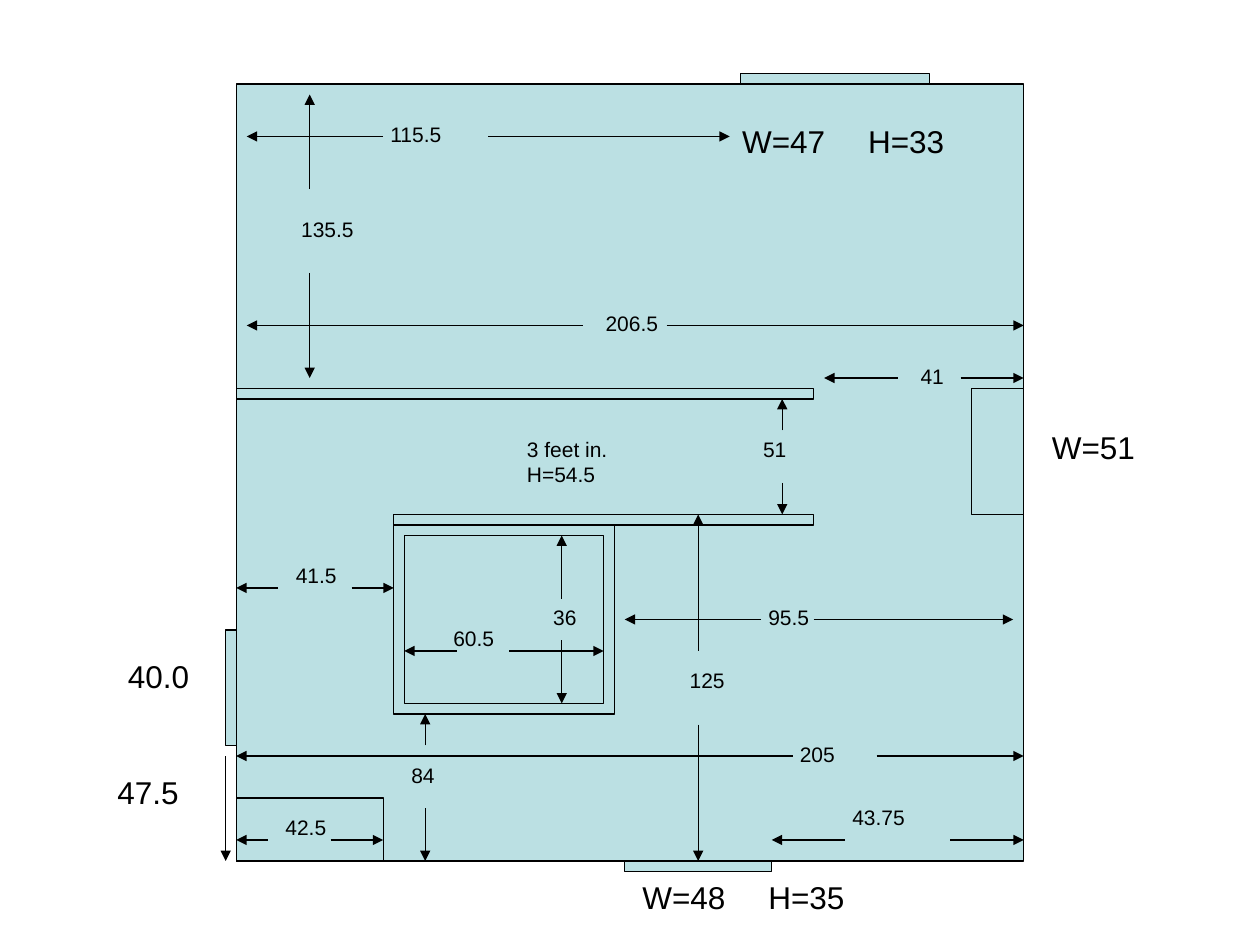
from collections import namedtuple

from lxml.etree import SubElement
from pptx import Presentation
from pptx.dml.color import RGBColor
from pptx.enum.shapes import MSO_CONNECTOR, MSO_SHAPE
from pptx.enum.text import MSO_AUTO_SIZE
from pptx.oxml.ns import qn
from pptx.util import Pt

Box = namedtuple("Box", "left top width height")
WALL = 6
SMALL, LARGE = 12, 18


def paint(color, value):
    color.rgb = RGBColor.from_string(value)


def add_block(page, box, left, top, width, height):
    block = page.shapes.add_shape(
        MSO_SHAPE.RECTANGLE, Pt(box.left + left), Pt(box.top + top), Pt(width), Pt(height)
    )
    block.shadow.inherit = False
    block.fill.solid()
    paint(block.fill.fore_color, "BBE0E3")
    paint(block.line.color, "000000")
    block.line.width = Pt(0.75)
    return block


def add_label(page, box, text, left, top, width, size=SMALL, height=None):
    height = height or (21.6 if size == SMALL else 28.8)
    label = page.shapes.add_textbox(
        Pt(box.left + left), Pt(box.top + top), Pt(width), Pt(height)
    )
    frame = label.text_frame
    frame.word_wrap = True
    frame.auto_size = MSO_AUTO_SIZE.SHAPE_TO_FIT_TEXT
    para = frame.paragraphs[0]
    para.text = text
    para.space_before = Pt(size * 0.625)
    para.font.name = "Arial"
    para.font.size = Pt(size)
    paint(para.font.color, "000000")


def add_arrow(page, box, start, end):
    arrow = page.shapes.add_connector(
        MSO_CONNECTOR.STRAIGHT,
        Pt(box.left + start[0]), Pt(box.top + start[1]),
        Pt(box.left + end[0]), Pt(box.top + end[1]),
    )
    paint(arrow.line.color, "000000")
    arrow.line.width = Pt(0.75)
    SubElement(arrow.line._get_or_add_ln(), qn("a:tailEnd"), type="triangle")
    SubElement(arrow._element.spPr, qn("a:effectLst"))
    return arrow


def add_span_across(page, box, y, tips, gap, label):
    for start, end in zip(gap, tips):
        add_arrow(page, box, (start, y), (end, y))
    add_label(page, box, *label)


def add_span_down(page, box, x, tips, gap, label):
    arrows = [add_arrow(page, box, (x, start), (x, end)) for start, end in zip(gap, tips)]
    add_label(page, box, *label)
    return arrows


def add_upper_room(page, box):
    add_block(page, box, 288, -WALL, 108, WALL)
    add_span_down(page, box, 42, (6, 168), (60, 108), ("135.5", 30, 72, 57))
    for y, tips, gap, label in [
        (30, (6, 282), (84, 144), ("115.5", 81, 18, 51)),
        (138, (6, box.width), (198, 246), ("206.5", 204, 126, 45)),
        (168, (336, box.width), (378, 414), ("41", 384, 156, 30)),
    ]:
        add_span_across(page, box, y, tips, gap, label)
    add_label(page, box, "W=47\tH=33", 282, 18, 132, LARGE)


def add_hall(page, box):
    add_block(page, box, 0, 0, 330, WALL)
    add_block(page, box, box.width - 30, 0, 30, box.height)
    add_span_down(page, box, 312, (WALL, box.height), (24, 54), ("51", 294, 24, 30))
    add_label(page, box, "3 feet in. H=54.5", 159, 24, 87, height=36)
    add_label(page, box, "W=51", box.width + 9, 19, 66, LARGE)


def add_lower_room(page, box):
    add_block(page, box, 90, 0, 240, WALL)
    add_block(page, box, 0, box.height - 36, 84, 36)
    add_block(page, box, -WALL, 66, WALL, 66)
    window = add_block(page, box, 222, box.height, 84, WALL)
    for y, tips, gap, label in [
        (42, (0, 90), (24, 66), ("41.5", 27, 24, 39)),
        (60, (222, 444), (300, 330), ("95.5", 297, 48, 39)),
        (138, (0, box.width), (318, 366), ("205", 315, 126, 45)),
        (186, (0, 84), (18, 54), ("42.5", 21, 168, 57)),
        (186, (306, box.width), (348, 408), ("43.75", 345, 162, 45)),
    ]:
        add_span_across(page, box, y, tips, gap, label)
    add_span_down(page, box, 108, (114, box.height), (132, 168), ("84", 93, 138, 30))
    depth_arrows = add_span_down(
        page, box, 264, (0, box.height), (78, 120), ("125", 252, 84, 39)
    )
    depth_arrows[1].end_connect(window, 0)
    add_arrow(page, box, (-WALL, 138), (-WALL, box.height))
    add_label(page, box, "40.0", -69, 78, 51, LARGE)
    add_label(page, box, "47.5", -75, 144, 57, LARGE)
    add_label(page, box, "W=48\tH=35", 225, box.height + 6, 132, LARGE)


def add_closet(page, box):
    add_block(page, box, 0, 0, box.width, box.height)
    add_block(page, box, WALL, WALL, box.width - 2 * WALL, box.height - 2 * WALL)
    add_span_across(
        page, box, 72, (WALL, box.width - WALL), (36, 66), ("60.5", 27, 54, 42)
    )
    add_span_down(
        page, box, 96, (WALL, box.height - WALL), (42, 66), ("36", 84, 42, 30)
    )


def add_floor_plan(page, box):
    add_block(page, box, 0, 0, box.width, box.height)
    hall_top, lower_top = box.top + 174, box.top + 246
    bottom = box.top + box.height
    add_upper_room(page, Box(box.left, box.top, box.width, hall_top - box.top))
    add_hall(page, Box(box.left, hall_top, box.width, lower_top - hall_top))
    add_lower_room(page, Box(box.left, lower_top, box.width, bottom - lower_top))
    add_closet(page, Box(box.left + 90, lower_top + WALL, 126, 108))


def main():
    deck = Presentation()
    deck.slide_width, deck.slide_height = Pt(720), Pt(540)
    page = deck.slides.add_slide(deck.slide_layouts[6])
    add_floor_plan(page, Box(135, 48, 450, 444))
    deck.save("out.pptx")


if __name__ == "__main__":
    main()
